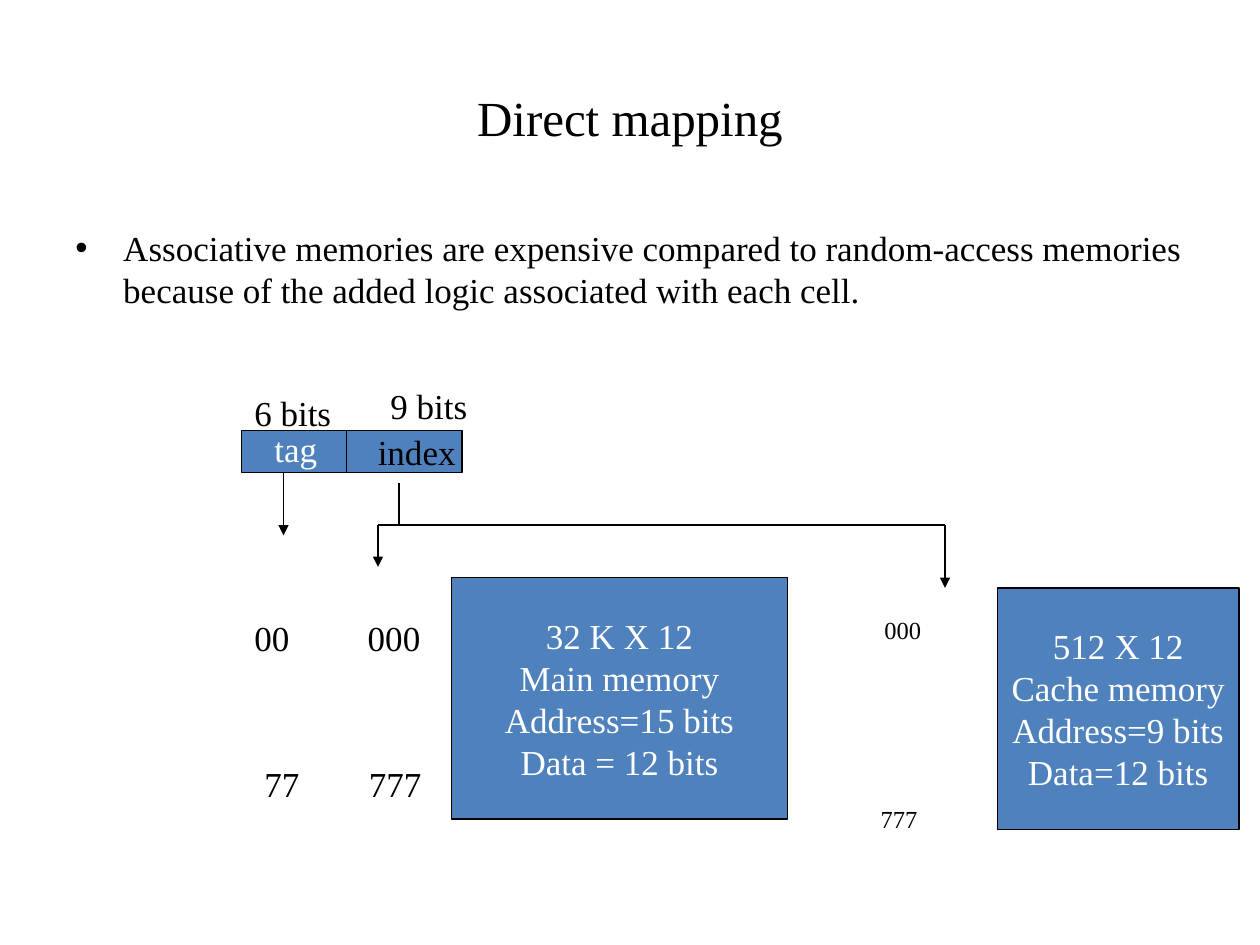
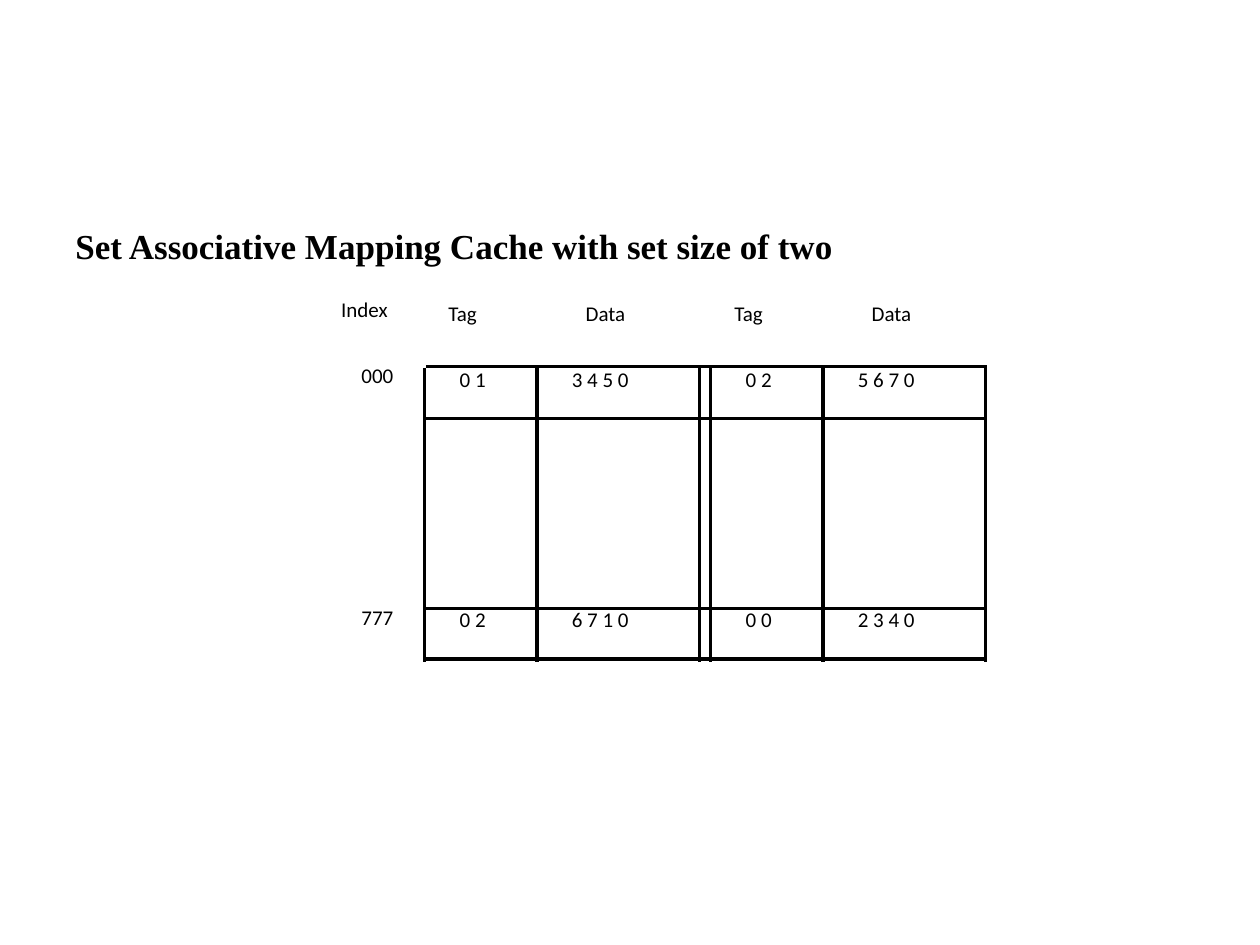
from dataclasses import dataclass

from lxml.etree import SubElement
from pptx import Presentation
from pptx.dml.color import RGBColor
from pptx.enum.shapes import MSO_CONNECTOR, MSO_SHAPE
from pptx.enum.text import MSO_ANCHOR, PP_ALIGN
from pptx.oxml.ns import qn
from pptx.util import Inches, Pt


@dataclass(frozen=True)
class Theme:
    ink: str = "000000"
    light: str = "FFFFFF"
    fill: str = "4F81BD"
    serif: str = "Times New Roman"
    sans: str = "Calibri"
    title: int = 28
    body: int = 20
    note: int = 14
    small: int = 12
    thin: float = 0.75
    thick: float = 2


def snap(*sizes):
    return [Inches(round(size * 12) / 12) for size in sizes]


class Deck:
    def __init__(self, theme):
        self.theme = theme
        self.prs = Presentation()
        self.prs.slide_width = Inches(10)
        self.prs.slide_height = Inches(7.5)
        self.slide = None

    def page(self):
        self.slide = self.prs.slides.add_slide(self.prs.slide_layouts[6])

    def style(self, frame, size, font=None, color=None, bold=False,
              align=PP_ALIGN.LEFT, space=None):
        for para in frame.paragraphs:
            para.alignment = align
            para.line_spacing = space
            for run in para.runs:
                run.font.size = Pt(size)
                run.font.name = font or self.theme.serif
                run.font.bold = bold
                run.font.color.rgb = RGBColor.from_string(color or self.theme.ink)

    def text(self, words, x, y, w, h, size, wrap=True, tab=None, bullet=None,
             anchor=MSO_ANCHOR.TOP, **look):
        box = self.slide.shapes.add_textbox(Inches(x), Inches(y), Inches(w), Inches(h))
        frame = box.text_frame
        frame.word_wrap = wrap
        frame.vertical_anchor = anchor
        frame.text = words
        props = frame.paragraphs[0]._p.get_or_add_pPr()
        if bullet:
            props.set("marL", str(Inches(0.38)))
            props.set("indent", str(-Inches(0.38)))
            SubElement(props, qn("a:buFont"), typeface="Arial")
            SubElement(props, qn("a:buChar"), char=bullet)
        if tab:
            stops = SubElement(props, qn("a:tabLst"))
            SubElement(stops, qn("a:tab"), pos=str(Inches(tab)), algn="l")
        self.style(frame, size, **look)

    def title(self, words):
        self.text(words, 0.5, 0.3, 9, 1.25, self.theme.title,
                  anchor=MSO_ANCHOR.MIDDLE, align=PP_ALIGN.CENTER)

    def body(self, words, **look):
        self.text(words, 0.5, 1.75, 9, 4.95, self.theme.body, **look)

    def label(self, words, x, y, w):
        self.text(words, x, y, w, 0.28, self.theme.small, wrap=False,
                  font=self.theme.sans, space=0.9)

    def block(self, words, x, y, w, h, inset=0.1, **look):
        box = self.slide.shapes.add_shape(MSO_SHAPE.RECTANGLE, *snap(x, y, w, h))
        box.shadow.inherit = False
        box.fill.solid()
        box.fill.fore_color.rgb = RGBColor.from_string(self.theme.fill)
        box.line.color.rgb = RGBColor.from_string(self.theme.ink)
        box.line.width = Pt(self.theme.thin)
        frame = box.text_frame
        frame.word_wrap = False
        frame.margin_right = Inches(inset)
        frame.vertical_anchor = MSO_ANCHOR.MIDDLE
        frame.text = words
        self.style(frame, self.theme.body, **look)

    def line(self, ends, width, arrow=False):
        link = self.slide.shapes.add_connector(MSO_CONNECTOR.STRAIGHT, *ends)
        link.line.color.rgb = RGBColor.from_string(self.theme.ink)
        link.line.width = Pt(width)
        if arrow:
            SubElement(link.line._get_or_add_ln(), qn("a:tailEnd"), type="triangle")
        SubElement(link._element.spPr, qn("a:effectLst"))

    def wire(self, *ends, arrow=False):
        self.line(snap(*ends), self.theme.thin, arrow)

    def rule(self, *ends):
        self.line([Inches(end) for end in ends], self.theme.thick)


def direct(deck):
    theme = deck.theme
    deck.page()
    deck.title("Direct mapping")
    deck.body("Associative memories are expensive compared to random-access memories "
              "because of the added logic associated with each cell.", bullet="•")
    deck.block("index", 1.92, 3.42, 1.75, 0.33, inset=0.05, align=PP_ALIGN.RIGHT)
    deck.wire(2.75, 3.42, 2.75, 3.75)
    deck.text("tag", 2.08, 3.34, 1.58, 0.43, theme.body, color=theme.light)
    deck.text("6 bits", 1.92, 3.06, 1.67, 0.43, theme.body)
    deck.text("9 bits", 3, 3, 0.92, 0.43, theme.body)

    for words, x, y, w in (
        ("32 K X 12\nMain memory\nAddress=15 bits\nData = 12 bits", 3.58, 4.58, 2.67),
        ("512 X 12\nCache memory\nAddress=9 bits\nData=12 bits", 7.92, 4.67, 1.92),
    ):
        deck.block(words, x, y, w, 1.92, color=theme.light, align=PP_ALIGN.CENTER)

    deck.wire(3.17, 3.83, 3.17, 4.17)
    deck.wire(3, 4.17, 7.5, 4.17)
    for x, top, end in ((2.25, 3.75, 4.25), (3, 4.17, 4.5), (7.5, 4.17, 4.67)):
        deck.wire(x, top, x, end, arrow=True)

    deck.text("000", 6.92, 4.83, 0.58, 0.33, theme.note)
    deck.text("777", 6.89, 6.33, 0.94, 0.33, theme.note)
    deck.text("00\t000", 1.92, 4.84, 1.58, 0.43, theme.body, tab=0.9)
    deck.text("77\t777", 2, 6, 1.5, 0.43, theme.body, tab=0.83)


def paired(deck):
    deck.page()
    deck.body("Set Associative Mapping Cache with set size of two", bold=True, space=0.97)
    deck.label("Index", 2.61, 2.33, 0.63)
    for word, y in (("000", 2.85), ("777", 4.77)):
        deck.label(word, 2.77, y, 0.48)

    ways = ((("0 1", "3 4 5 0"), ("0 2", "6 7 1 0")),
            (("0 2", "5 6 7 0"), ("0 0", "2 3 4 0")))
    for way, rows in enumerate(ways):
        shift = way * 2.27
        deck.label("Tag", 3.46 + shift, 2.36, 0.49)
        deck.label("Data", 4.55 + shift, 2.36, 0.56)
        for (tag, data), y in zip(rows, (2.88, 4.79)):
            deck.label(tag, 3.55 + shift, y, 0.43)
            deck.label(data, 4.44 + shift, y, 0.71)
        for x in (3.37, 4.26, 5.55):
            deck.rule(x + shift, 2.92, x + shift, 5.25)

    for y in (2.91, 3.32, 4.83, 5.23):
        deck.rule(3.38, y, 7.83, y)


def main():
    deck = Deck(Theme())
    direct(deck)
    paired(deck)
    deck.prs.save("out.pptx")


if __name__ == "__main__":
    main()
